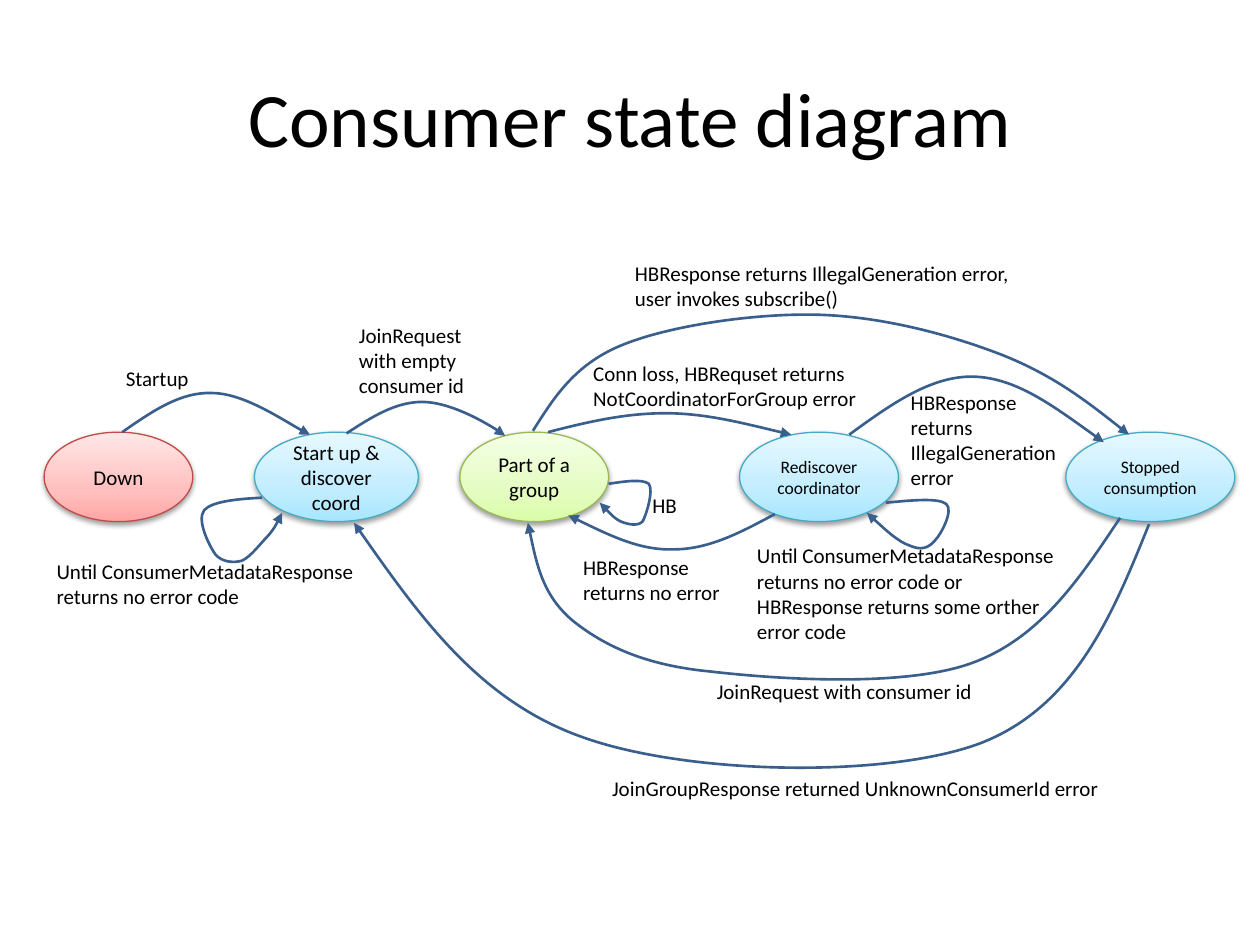
from dataclasses import dataclass

from pptx import Presentation
from pptx import oxml
from pptx import util as u
from pptx.dml.color import RGBColor
from pptx.enum import shapes, text
from pptx.oxml import ns


@dataclass(frozen=True)
class Theme:
    font: str = "Calibri"
    ink: str = "000000"
    arrow: str = "3A5F8C"
    title_size: int = 44
    body_size: int = 12
    small_size: int = 10
    # Outline, then gradient colours from bottom to top
    red: tuple = ("BF4C48", "FFA6A5", "FFC0BF", "FFE7E7")
    blue: tuple = ("46AAC5", "A7E6FF", "C1EDFF", "E7F8FF")
    green: tuple = ("98B955", "DAFDA7", "E4FCC2", "F5FFE7")


THEME = Theme()
STATE_TOP, STATE_HEIGHT = 3.43, 0.71

# Left, width, wording, colours, type size
STATES = [
    (0.35, 1.18, "Down", THEME.red, THEME.body_size),
    (2.02, 1.3, "Start up & discover coord", THEME.blue, THEME.body_size),
    (3.65, 1.18, "Part of a group", THEME.green, THEME.body_size),
    (5.87, 1.26, "Rediscover coordinator", THEME.blue, THEME.small_size),
    (8.46, 1.34, "Stopped consumption", THEME.blue, THEME.small_size),
]

# Start point, then two control points and an end point for each curve
TRANSITIONS = [
    # Down to start up
    [(0.97, 3.43), (1.2, 3.27), (1.43, 3.11), (1.68, 3.12),
     (1.93, 3.12), (2.33, 3.39), (2.46, 3.45)],
    # Start up to group
    [(2.75, 3.44), (2.95, 3.31), (3.14, 3.19), (3.35, 3.19),
     (3.56, 3.19), (3.95, 3.4), (4.01, 3.46)],
    # Start up to itself
    [(2.08, 3.95), (1.88, 3.96), (1.68, 3.98), (1.62, 4.05),
     (1.56, 4.13), (1.66, 4.33), (1.71, 4.4),
     (1.76, 4.46), (1.85, 4.47), (1.92, 4.45),
     (1.99, 4.42), (2.07, 4.31), (2.13, 4.25),
     (2.18, 4.19), (2.21, 4.13), (2.24, 4.07)],
    # Group to itself
    [(4.83, 3.84), (4.96, 3.82), (5.1, 3.8), (5.15, 3.84),
     (5.19, 3.89), (5.13, 4.09), (5.1, 4.14),
     (5.06, 4.18), (4.98, 4.16), (4.93, 4.14),
     (4.87, 4.11), (4.82, 4.05), (4.76, 3.99)],
    # Stopped to group
    [(8.89, 4.11), (8.57, 4.59), (8.26, 5.06), (7.72, 5.26),
     (7.18, 5.46), (6.16, 5.39), (5.64, 5.33),
     (5.11, 5.28), (4.79, 5.12), (4.55, 4.93),
     (4.31, 4.73), (4.25, 4.44), (4.19, 4.15)],
    # Rediscover to group
    [(6.15, 4.08), (5.89, 4.22), (5.63, 4.36), (5.35, 4.36),
     (5.08, 4.37), (4.8, 4.23), (4.51, 4.09)],
    # Stopped to start up
    [(9.12, 4.16), (8.83, 4.88), (8.53, 5.61), (7.78, 5.9),
     (7.03, 6.18), (5.45, 6.15), (4.62, 5.85),
     (3.8, 5.56), (3.3, 4.85), (2.81, 4.15)],
    # Group to rediscover
    [(4.35, 3.43), (4.66, 3.35), (4.96, 3.28), (5.28, 3.28),
     (5.6, 3.28), (5.94, 3.37), (6.28, 3.45)],
    # Group to stopped
    [(4.23, 3.42), (4.4, 3.15), (4.57, 2.88), (4.96, 2.73),
     (5.34, 2.58), (6.03, 2.48), (6.53, 2.5),
     (7.03, 2.52), (7.55, 2.66), (7.96, 2.82),
     (8.36, 2.98), (8.66, 3.21), (8.96, 3.45)],
    # Rediscover to stopped
    [(6.74, 3.45), (7.07, 3.21), (7.39, 2.98), (7.73, 2.99),
     (8.07, 3), (8.41, 3.26), (8.76, 3.51)],
    # Rediscover to itself
    [(7.03, 3.99), (7.24, 3.97), (7.45, 3.95), (7.51, 4),
     (7.57, 4.05), (7.47, 4.24), (7.42, 4.29),
     (7.37, 4.35), (7.31, 4.37), (7.22, 4.33),
     (7.13, 4.3), (7, 4.18), (6.88, 4.07)],
]

# Left, top, width, height, wraps, paragraphs
LABELS = [
    (0.9, 2.85, 0.7, 0.3, False, ["Startup"]),
    (0.35, 4.38, 2.58, 0.5, False,
     ["Until ConsumerMetadataResponse", "returns no error code"]),
    (2.75, 2.51, 1.05, 0.71, False, ["JoinRequest", "with empty", "consumer id"]),
    (4.94, 2.02, 3.45, 0.5, True,
     ["HBResponse returns IllegalGeneration error,", "user invokes subscribe()"]),
    (7.13, 3.04, 1.5, 0.91, True, ["HBResponse returns IllegalGeneration", "error"]),
    (5.91, 4.26, 2.64, 0.91, True,
     ["Until ConsumerMetadataResponse", "returns no error code or",
      "HBResponse returns some orther error code"]),
    (4.61, 2.81, 2.34, 0.5, True,
     ["Conn loss, HBRequset returns NotCoordinatorForGroup error"]),
    (5.59, 5.34, 2.25, 0.3, False, ["JoinRequest with consumer id"]),
    (4.76, 6.11, 4.1, 0.3, False,
     ["JoinGroupResponse returned UnknownConsumerId error"]),
    (5.08, 3.86, 0.4, 0.3, False, ["HB"]),
    (4.53, 4.35, 1.57, 0.5, True, ["HBResponse", "returns no error"]),
]


def apply_format(target, values):
    for name, value in values.items():
        setattr(target, name, value)


def make_xml(markup):
    tag, rest = markup.split(" ", 1)
    return oxml.parse_xml(f"{tag} {ns.nsdecls('a')} {rest}")


def write(frame, paragraphs, size, align, frame_format):
    apply_format(frame, frame_format)
    frame.text = "\n".join(paragraphs)
    for paragraph in frame.paragraphs:
        paragraph.alignment = align
        apply_format(paragraph.font, {"name": THEME.font, "size": u.Pt(size)})
        paragraph.font.color.rgb = RGBColor.from_string(THEME.ink)


def outline(shape, color, width):
    shape.shadow.inherit = False
    shape.line.color.rgb = RGBColor.from_string(color)
    shape.line.width = u.Pt(width)


def add_title(slide, wording):
    title = slide.shapes.add_textbox(
        u.Inches(0.5), u.Inches(0.3), u.Inches(9), u.Inches(1.25))
    write(title.text_frame, [wording], THEME.title_size, text.PP_ALIGN.CENTER,
          {"word_wrap": True, "vertical_anchor": text.MSO_ANCHOR.MIDDLE})


def add_state(slide, left, width, wording, colors, size):
    state = slide.shapes.add_shape(
        shapes.MSO_SHAPE.OVAL, u.Inches(left), u.Inches(STATE_TOP),
        u.Inches(width), u.Inches(STATE_HEIGHT))
    edge, *shades = colors
    outline(state, edge, 0.75)
    properties = state._element.spPr
    # Upward three-stop gradient
    stops = "".join(
        f'<a:gs pos="{place * 1000}"><a:srgbClr val="{shade}"/></a:gs>'
        for place, shade in zip((0, 35, 100), shades))
    properties.find(ns.qn("a:prstGeom")).addnext(make_xml(
        f'<a:gradFill rotWithShape="1"><a:gsLst>{stops}</a:gsLst>'
        '<a:lin ang="16200000" scaled="0"/></a:gradFill>'))
    # Soft shadow below
    properties.find(ns.qn("a:effectLst")).append(make_xml(
        f'<a:outerShdw blurRad="{u.Pt(3.1)}" dist="{u.Pt(1.6)}" dir="5400000" '
        'rotWithShape="0"><a:srgbClr val="000000"><a:alpha val="38000"/>'
        '</a:srgbClr></a:outerShdw>'))
    write(state.text_frame, [wording], size, text.PP_ALIGN.CENTER,
          {"word_wrap": True, "vertical_anchor": text.MSO_ANCHOR.MIDDLE})


def add_transition(slide, points):
    start, *rest = [(u.Inches(x), u.Inches(y)) for x, y in points]
    builder = slide.shapes.build_freeform(*start)
    builder.add_line_segments(rest, close=False)
    arrow = builder.convert_to_shape()
    arrow.fill.background()
    outline(arrow, THEME.arrow, 1.5)
    properties = arrow._element.spPr
    properties.find(ns.qn("a:ln")).append(make_xml('<a:tailEnd type="triangle"/>'))
    # Turn each three segments into one Bezier curve
    segments = list(properties.iter(ns.qn("a:lnTo")))
    for first in range(0, len(segments), 3):
        curve = make_xml("<a:cubicBezTo />")
        segments[first].addprevious(curve)
        for segment in segments[first:first + 3]:
            curve.append(segment[0])
            segment.getparent().remove(segment)


def add_label(slide, left, top, width, height, wraps, paragraphs):
    label = slide.shapes.add_textbox(
        u.Inches(left), u.Inches(top), u.Inches(width), u.Inches(height))
    write(label.text_frame, paragraphs, THEME.body_size, text.PP_ALIGN.LEFT,
          {"word_wrap": wraps, "auto_size": text.MSO_AUTO_SIZE.SHAPE_TO_FIT_TEXT})


def main():
    deck = Presentation()
    apply_format(deck, {"slide_width": u.Inches(10), "slide_height": u.Inches(7.5)})
    slide = deck.slides.add_slide(deck.slide_layouts[6])
    add_title(slide, "Consumer state diagram")
    for state in STATES:
        add_state(slide, *state)
    for points in TRANSITIONS:
        add_transition(slide, points)
    for label in LABELS:
        add_label(slide, *label)
    deck.save("out.pptx")


if __name__ == "__main__":
    main()
